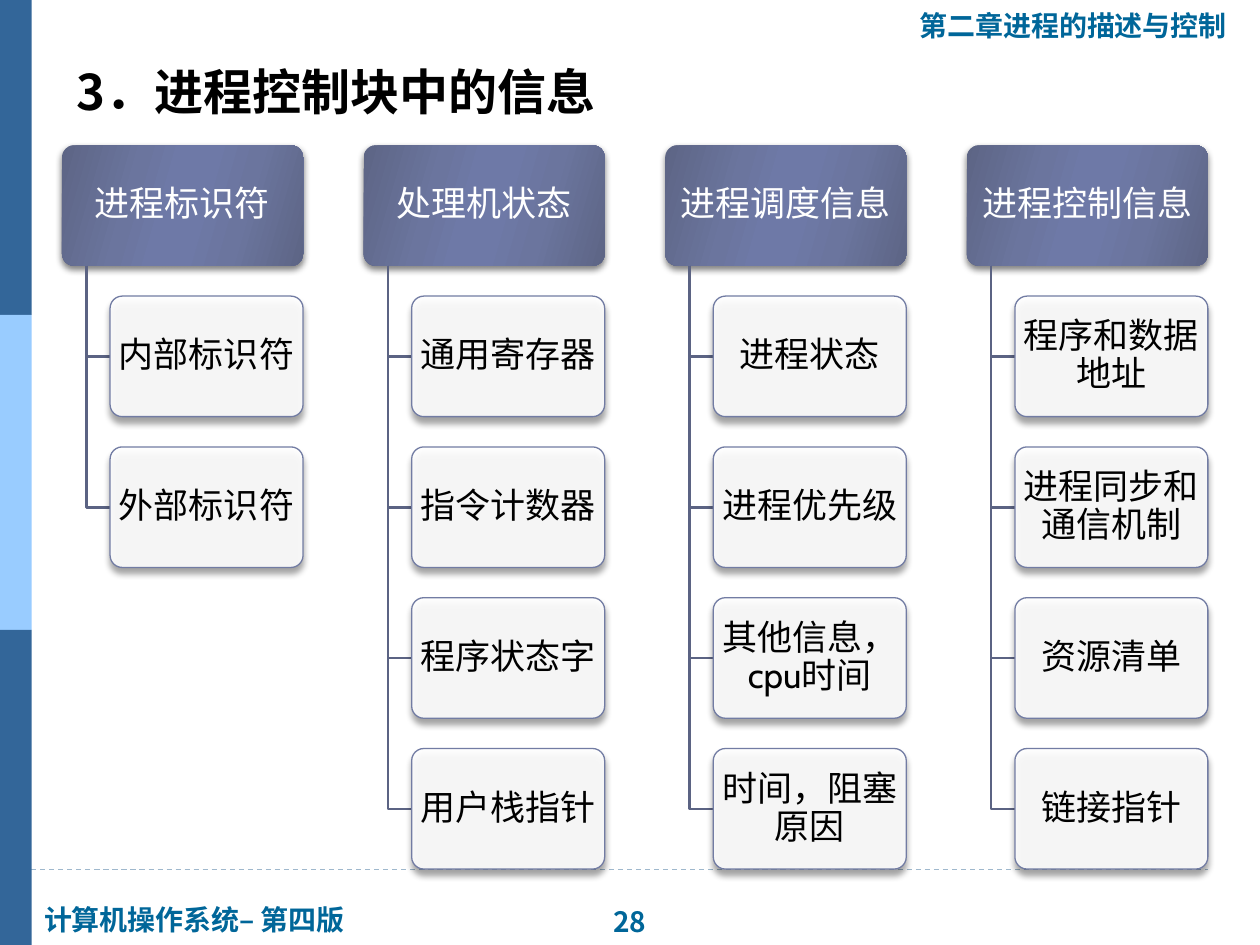
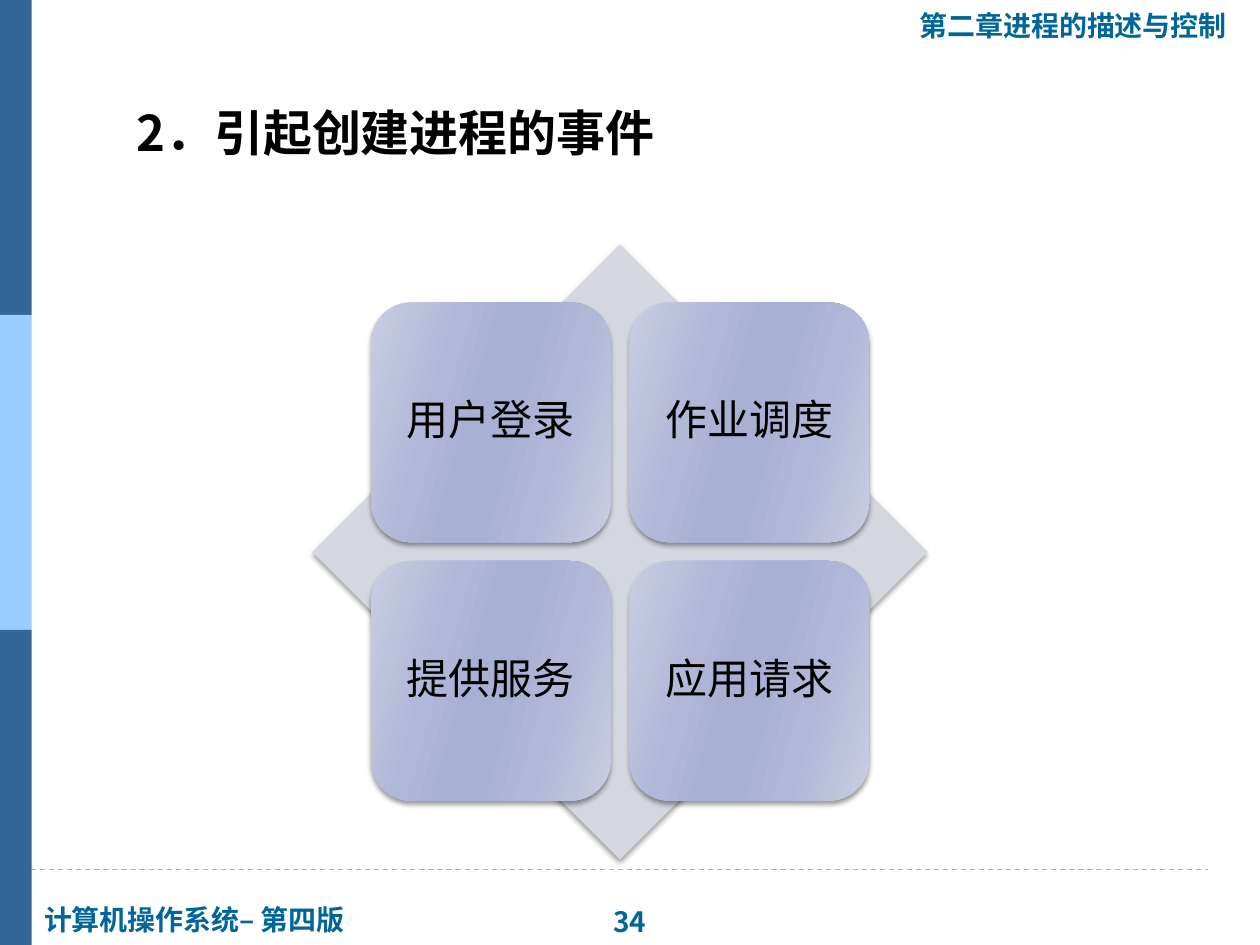
from lxml.etree import SubElement
from pptx import Presentation
from pptx.dml.color import RGBColor
from pptx.enum.dml import MSO_LINE
from pptx.enum.shapes import MSO_CONNECTOR, MSO_SHAPE as Shape
from pptx.enum.text import MSO_ANCHOR as Anchor, PP_ALIGN as Align
from pptx.oxml.ns import qn
from pptx.util import Cm, Pt

COLORS = {
    "band": "336699", "band_light": "99CCFF", "rule": "9FB8CD", "footer": "006699",
    "black": "000000", "white": "FFFFFF", "elbow": "5B6383", "border": "727CA3",
    "diamond": "D5D7E0",
}
# Gradients run edge, soft, middle, middle, soft, edge
STOPS = (0, 30, 45, 55, 73, 100)
HEADER_GRADIENT = ("5D6585", "6B759E", "6E79A7")
TILE_GRADIENT = ("C9CDE2", "B1B7D7", "A8B0D3")

BOOK = "计算机操作系统– 第四版"
CHAPTER = "第二章进程的描述与控制"
CJK_FONT = "Noto Sans CJK SC"

BLOCK_INFO = {
    "进程标识符": ["内部标识符", "外部标识符"],
    "处理机状态": ["通用寄存器", "指令计数器", "程序状态字", "用户栈指针"],
    "进程调度信息": ["进程状态", "进程优先级", "其他信息，cpu时间", "时间，阻塞原因"],
    "进程控制信息": ["程序和数据地址", "进程同步和通信机制", "资源清单", "链接指针"],
}
EVENTS = ["用户登录", "作业调度", "提供服务", "应用请求"]


def rgb(name):
    return RGBColor.from_string(COLORS[name])


def write(shape, text, size, color="black", font="Cabin", bold=False, align=Align.LEFT,
          anchor=Anchor.TOP, wrap=True, insets=(0.25, 0.13), spacing=None, indent=0):
    """Fill a shape or text box with one formatted paragraph."""
    frame = shape.text_frame
    frame.word_wrap = wrap
    frame.vertical_anchor = anchor
    frame.margin_left = frame.margin_right = Cm(insets[0])
    frame.margin_top = frame.margin_bottom = Cm(insets[1])
    para = frame.paragraphs[0]
    para.alignment = align
    para.line_spacing = spacing
    if indent:
        para._p.get_or_add_pPr().set("marL", str(Cm(indent)))
    span = para.add_run()
    span.text = text
    span.font.size, span.font.bold, span.font.name = Pt(size), bold, font
    span.font.color.rgb = rgb(color)
    SubElement(span._r.get_or_add_rPr(), qn("a:ea"), typeface=CJK_FONT)


def add_text(page, left, top, width, height, text, **style):
    box = page.shapes.add_textbox(Cm(left), Cm(top), Cm(width), Cm(height))
    write(box, text, **style)


def add_block(page, kind, left, top, width, height, fill=None, border=None):
    block = page.shapes.add_shape(kind, Cm(left), Cm(top), Cm(width), Cm(height))
    block.shadow.inherit = False
    if fill:
        block.fill.solid()
        block.fill.fore_color.rgb = rgb(fill)
    if border:
        block.line.color.rgb = rgb(border)
        block.line.width = Pt(0.75)
    else:
        block.line.fill.background()
    return block


def set_gradient(shape, tones):
    shape.fill.gradient()
    shape.fill.gradient_angle = 344
    stop_list = shape._element.spPr.find(".//" + qn("a:gsLst"))
    for stop in list(stop_list):
        stop_list.remove(stop)
    for position, tone in zip(STOPS, tones + tones[::-1]):
        stop = SubElement(stop_list, qn("a:gs"), pos=str(position * 1000))
        SubElement(stop, qn("a:srgbClr"), val=tone)


def set_alpha(color, percent):
    SubElement(color, qn("a:alpha"), val=str(percent * 1000))


def set_shadow(shape, opacity, blur, distance):
    effects = shape._element.spPr.find(qn("a:effectLst"))
    shadow = SubElement(effects, qn("a:outerShdw"), blurRad=str(Pt(blur)),
                        dist=str(Pt(distance)), dir="5400000", rotWithShape="0")
    set_alpha(SubElement(shadow, qn("a:srgbClr"), val=COLORS["black"]), opacity)


def add_elbow(page, left, top, right, bottom):
    """Draw the line down a branch and across to one child."""
    builder = page.shapes.build_freeform(Cm(left), Cm(top))
    builder.add_line_segments([(Cm(left), Cm(bottom)), (Cm(right), Cm(bottom))], close=False)
    elbow = builder.convert_to_shape()
    elbow.shadow.inherit = False
    elbow.fill.background()
    elbow.line.color.rgb = rgb("elbow")
    elbow.line.width = Pt(1.5)


def add_page(deck, number, title, title_top, indent=0):
    page = deck.slides.add_slide(deck.slide_layouts[6])
    # Dashed rule and side bands
    rule = page.shapes.add_connector(MSO_CONNECTOR.STRAIGHT, Cm(-0.1), Cm(17.53),
                                     Cm(24.36), Cm(17.53))
    rule.line.color.rgb = rgb("rule")
    rule.line.width = Pt(0.75)
    rule.line.dash_style = MSO_LINE.DASH
    SubElement(rule._element.spPr, qn("a:effectLst"))
    for row, fill in enumerate(("band", "band_light", "band")):
        add_block(page, Shape.RECTANGLE, 0, row * 6.35, 0.64, 6.35, fill)
    # Book, page number and chapter
    label = dict(size=16, color="footer", bold=True, wrap=False)
    add_text(page, 0.64, 18.06, 6.73, 0.94, BOOK, font="Roboto", **label)
    add_text(page, 12.01, 18.1, 1.37, 0.94, str(number), font="Noto Sans CJK JP",
             align=Align.CENTER, **label)
    add_text(page, 18.29, 0.05, 6.78, 0.94, CHAPTER, font="Roboto", **label)
    # Title
    add_text(page, 1.3, title_top, 22.8, 2, title, size=28, font=CJK_FONT, bold=True,
             indent=indent)
    return page


def add_branch(page, left, header, children):
    """Draw a header with its children hanging below it."""
    top, width, height, row_step = 2.93, 4.86, 2.43, 3.04
    trunk, inset = 0.49, 0.97
    label = dict(size=20, align=Align.CENTER, anchor=Anchor.MIDDLE, insets=(0.08, 0.08),
                 spacing=0.9)
    head = add_block(page, Shape.ROUNDED_RECTANGLE, left, top, width, height)
    head.adjustments[0] = 0.1
    set_gradient(head, HEADER_GRADIENT)
    set_shadow(head, 50, 4, 2)
    write(head, header, color="white", **label)
    for row, text in enumerate(children, start=1):
        child_top = top + row * row_step
        add_elbow(page, left + trunk, top + height, left + inset, child_top + height / 2)
        child = add_block(page, Shape.ROUNDED_RECTANGLE, left + inset, child_top,
                          width - inset, height, "white", "border")
        child.adjustments[0] = 0.1
        set_alpha(child._element.spPr.find(qn("a:solidFill"))[0], 90)
        set_shadow(child, 40, 4, 3.4)
        write(child, text, **label)


def add_event_matrix(page, events):
    """Draw four tiles, two by two, over a diamond."""
    diamond = add_block(page, Shape.DIAMOND, 6.3, 4.93, 12.4, 12.4, "diamond")
    set_shadow(diamond, 40, 3, 2)
    for index, text in enumerate(events):
        row, column = divmod(index, 2)
        tile = add_block(page, Shape.ROUNDED_RECTANGLE, 7.48 + column * 5.21,
                         6.1 + row * 5.21, 4.83, 4.83)
        set_gradient(tile, TILE_GRADIENT)
        set_shadow(tile, 40, 3, 2)
        write(tile, text, size=24, align=Align.CENTER, anchor=Anchor.MIDDLE, spacing=0.9)


def main():
    deck = Presentation()
    deck.slide_width, deck.slide_height = Cm(25.4), Cm(19.05)

    # Information in the process control block
    page = add_page(deck, 28, "3．进程控制块中的信息", 1.12)
    for column, (header, children) in enumerate(BLOCK_INFO.items()):
        add_branch(page, 1.25 + column * 6.08, header, children)

    # Events that create a process
    page = add_page(deck, 34, "2．引起创建进程的事件", 1.93, indent=1.2)
    add_event_matrix(page, EVENTS)

    deck.save("out.pptx")


if __name__ == "__main__":
    main()
